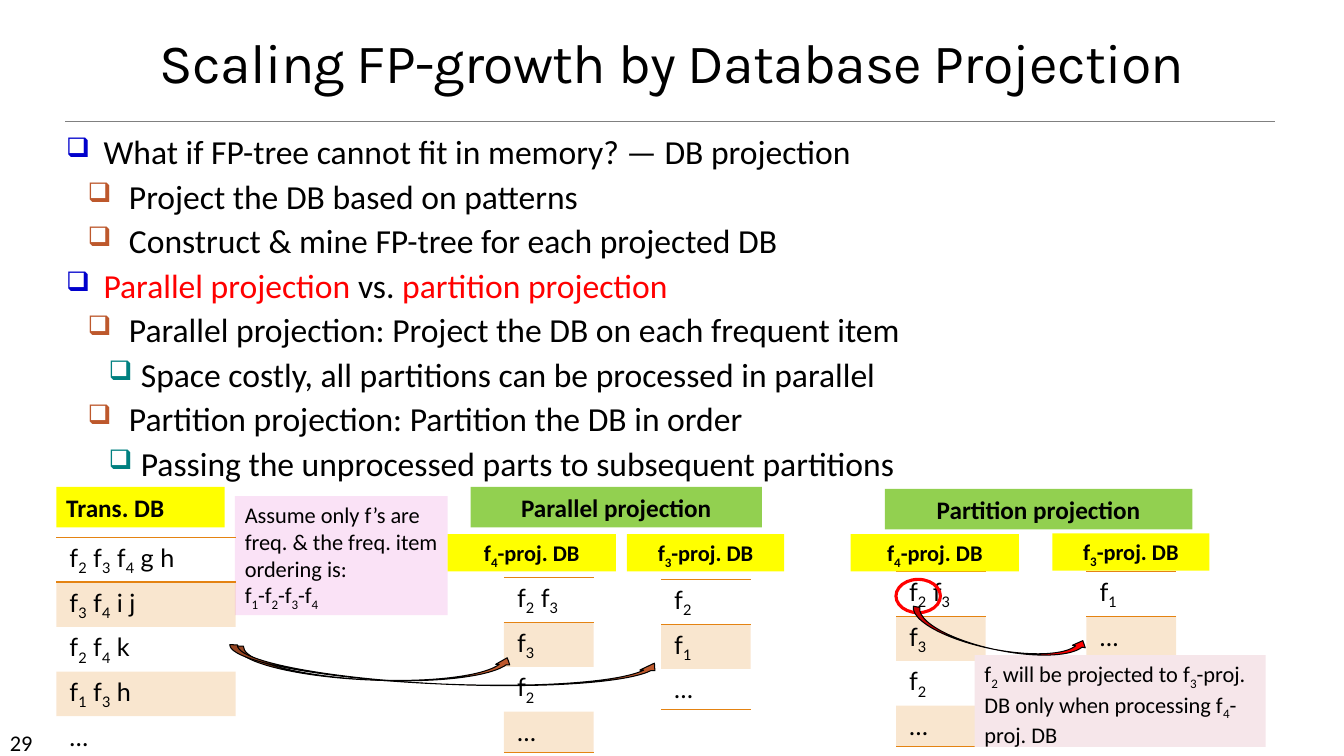
from dataclasses import dataclass
from lxml.etree import SubElement
from pptx import Presentation
from pptx.dml.color import RGBColor
from pptx.enum.shapes import MSO_CONNECTOR, MSO_SHAPE
from pptx.enum.text import MSO_ANCHOR, MSO_AUTO_SIZE, PP_ALIGN
from pptx.oxml import parse_xml
from pptx.oxml.ns import nsdecls, qn
from pptx.util import Cm, Pt


@dataclass(frozen=True)
class Theme:
    """Colours, fonts and type sizes of the slide."""
    black: str = "000000"
    red: str = "FF0000"
    rule: str = "808080"
    yellow: str = "FFFF00"
    green: str = "92D050"
    orange: str = "E48312"
    brown: str = "BD582C"
    lilac: str = "FAE2F6"
    rose: str = "F6E6EA"
    bullets: tuple = ("0000CC", "BD582C", "008080")
    heading_font: str = "Karla"
    body_font: str = "Calibri"
    table_font: str = "Lato"
    title_size: float = 39.6
    body_size: float = 24
    header_size: float = 18
    label_size: float = 16


@dataclass(frozen=True)
class Box:
    """A rectangle in centimetres."""
    left: float
    top: float
    width: float
    height: float

    def inner(self, left, top, width, height):
        """Return a box placed relative to this one."""
        return Box(self.left + left, self.top + top, width, height)

    def lengths(self):
        """Return the position and size as lengths."""
        return Cm(self.left), Cm(self.top), Cm(self.width), Cm(self.height)


@dataclass(frozen=True)
class ProjectedDatabase:
    """A projected database, placed from the corner of its region."""
    label: str
    rows: tuple
    label_box: tuple
    table_left: float
    table_top: float


THEME = Theme()
INDENTS = ((0.94, 0.94), (1.58, 1.04), (1.88, 0.81))
OUTLINE = (
    (0, (("What if FP-tree cannot fit in memory? — DB projection", THEME.black),)),
    (1, (("Project the DB based on patterns", THEME.black),)),
    (1, (("Construct & mine FP-tree for each projected DB", THEME.black),)),
    (0, (("Parallel projection ", THEME.red), ("vs. ", THEME.black),
         ("partition projection", THEME.red))),
    (1, (("Parallel projection: Project the DB on each frequent item", THEME.black),)),
    (2, (("Space costly, all partitions can be processed in parallel", THEME.black),)),
    (1, (("Partition projection: Partition the DB in order", THEME.black),)),
    (2, (("Passing the unprocessed parts to subsequent partitions", THEME.black),)),
)
TRANSACTIONS = ("f_2 f_3 f_4 g h", "f_3 f_4 i j", "f_2 f_4 k", "f_1 f_3 h", "…")
F4_ROWS = ("f_2 f_3", "f_3", "f_2", "…")
PARALLEL = (
    ProjectedDatabase("f_4-proj. DB", F4_ROWS, (0, 1.19, 4.24, 0.94), 1.42, 2.28),
    ProjectedDatabase("f_3-proj. DB", ("f_2", "f_1", "…"), (4.52, 1.19, 3.96, 0.94), 5.38, 2.33),
)
PARTITION = (
    ProjectedDatabase("f_4-proj. DB", F4_ROWS, (0, 1.14, 4.24, 0.94), 1.14, 2.08),
    ProjectedDatabase("f_3-proj. DB", ("f_1", "…"), (5.08, 1.12, 3.96, 0.94), 5.94, 2.08),
)


def add_run(paragraph, text, size, font=THEME.body_font, color=THEME.black, bold=False):
    """Add one formatted run and return it."""
    run = paragraph.add_run()
    run.text = text
    run.font.size, run.font.name, run.font.bold = Pt(size), font, bold
    run.font.color.rgb = RGBColor.from_string(color)
    return run


def add_indexed_text(paragraph, text, size, **style):
    """Add runs, lowering each character that follows an underscore."""
    first, *parts = text.split("_")
    if first:
        add_run(paragraph, first, size, **style)
    for part in parts:
        index = add_run(paragraph, part[0], size, **style)
        index._r.get_or_add_rPr().set("baseline", "-25000")
        if part[1:]:
            add_run(paragraph, part[1:], size, **style)


def add_panel(slide, box, lines, fill, size, align=PP_ALIGN.LEFT, bold=False):
    """Add a filled rectangle with text."""
    shape = slide.shapes.add_shape(MSO_SHAPE.RECTANGLE, *box.lengths())
    shape.shadow.inherit = False
    shape.fill.solid()
    shape.fill.fore_color.rgb = RGBColor.from_string(fill)
    shape.line.fill.background()
    frame = shape.text_frame
    frame.word_wrap = True
    frame.auto_size = MSO_AUTO_SIZE.SHAPE_TO_FIT_TEXT
    frame.vertical_anchor = MSO_ANCHOR.TOP
    for number, line in enumerate(lines):
        paragraph = frame.add_paragraph() if number else frame.paragraphs[0]
        paragraph.alignment = align
        add_indexed_text(paragraph, line, size, bold=bold)


def add_borders(cell, visible):
    """Draw the named cell sides and clear the others."""
    properties = cell._tc.get_or_add_tcPr()
    for position, side in enumerate(("lnL", "lnR", "lnT", "lnB")):
        paint = (f'<a:solidFill><a:srgbClr val="{THEME.orange}"/></a:solidFill>'
                 if side in visible else "<a:noFill/>")
        line = parse_xml(f'<a:{side} {nsdecls("a")} w="{Pt(1)}">{paint}</a:{side}>')
        properties.insert(position, line)


def add_database(slide, box, rows):
    """Add a one-column table with every second row tinted."""
    table = slide.shapes.add_table(len(rows), 1, *box.lengths()).table
    table.first_row = table.horz_banding = False
    for number, text in enumerate(rows):
        cell = table.cell(number, 0)
        cell.margin_left = cell.margin_right = Cm(0.33)
        cell.margin_top = cell.margin_bottom = Cm(0.13)
        add_indexed_text(cell.text_frame.paragraphs[0], text, THEME.header_size,
                         font=THEME.table_font)
        if number % 2:
            cell.fill.solid()
            cell.fill.fore_color.rgb = RGBColor.from_string(THEME.orange)
            for color in cell._tc.tcPr.iter(qn("a:srgbClr")):
                SubElement(color, qn("a:alpha"), val="20000")
        else:
            cell.fill.background()
        sides = {"lnT"} if number < 2 else set()
        if number in (0, len(rows) - 1):
            sides.add("lnB")
        add_borders(cell, sides)


def add_title(slide, box):
    """Place the title and the rule below it."""
    title = slide.shapes.title
    title.left, title.top, title.width, title.height = box.lengths()
    frame = title.text_frame
    frame.auto_size = MSO_AUTO_SIZE.NONE
    frame.vertical_anchor = MSO_ANCHOR.MIDDLE
    paragraph = frame.paragraphs[0]
    paragraph.alignment, paragraph.line_spacing = PP_ALIGN.CENTER, 0.85
    run = add_run(paragraph, "Scaling FP-growth by Database Projection",
                  THEME.title_size, THEME.heading_font)
    run._r.get_or_add_rPr().set("spc", "-50")
    level = Cm(box.top + 2.21)
    rule = slide.shapes.add_connector(MSO_CONNECTOR.STRAIGHT, Cm(box.left + 1.65), level,
                                      Cm(box.left + box.width - 1.74), level)
    rule.line.color.rgb = RGBColor.from_string(THEME.rule)
    rule.line.width = Pt(0.5)
    SubElement(rule._element.spPr, qn("a:effectLst"))


def add_outline(slide, box):
    """Add the bulleted outline."""
    frame = slide.shapes.add_textbox(*box.lengths()).text_frame
    frame.word_wrap = True
    for number, (level, runs) in enumerate(OUTLINE):
        paragraph = frame.add_paragraph() if number else frame.paragraphs[0]
        paragraph.level, paragraph.space_before = level, Pt(3)
        properties = paragraph._p.get_or_add_pPr()
        margin, hanging = INDENTS[level]
        properties.set("marL", str(Cm(margin)))
        properties.set("indent", str(-Cm(hanging)))
        color = SubElement(properties, qn("a:buClr"))
        SubElement(color, qn("a:srgbClr"), val=THEME.bullets[level])
        SubElement(properties, qn("a:buSzPct"), val="80000")
        SubElement(properties, qn("a:buChar"), char="❑")
        for text, ink in runs:
            add_run(paragraph, text, THEME.body_size, color=ink)


def add_transactions(slide, box):
    """Add the transaction database and the ordering assumption."""
    assumption = ("Assume only f’s are freq. & the freq. item ordering is:", "f_1-f_2-f_3-f_4")
    add_panel(slide, box.inner(4.5, 0.23, 5.36, 3), assumption, THEME.lilac, THEME.label_size)
    add_database(slide, box.inner(0, 1.27, 4.52, 5.08), TRANSACTIONS)
    add_panel(slide, box.inner(0, 0, 4.24, 1.02), ("Trans. DB",), THEME.yellow,
              THEME.header_size, bold=True)


def add_projection(slide, box, heading, heading_box, databases):
    """Add a heading with its projected databases below."""
    add_panel(slide, box.inner(*heading_box), (heading,), THEME.green, THEME.header_size,
              PP_ALIGN.CENTER, True)
    for database in databases:
        rows = database.rows
        table_box = box.inner(database.table_left, database.table_top, 2.26, 1.02 * len(rows))
        add_database(slide, table_box, rows)
        add_panel(slide, box.inner(*database.label_box), (database.label,), THEME.yellow,
                  THEME.label_size, PP_ALIGN.CENTER, True)


def add_curved_arrow(slide, box, color, rotation):
    """Add a curved arrow between databases."""
    arrow = slide.shapes.add_shape(MSO_SHAPE.CURVED_UP_ARROW, *box.lengths())
    arrow.shadow.inherit = False
    arrow.rotation = rotation
    arrow.fill.solid()
    arrow.fill.fore_color.rgb = RGBColor.from_string(color)
    arrow.line.color.rgb = RGBColor.from_string(THEME.black)
    arrow.line.width = Pt(0.75)


def add_partition_note(slide, box):
    """Circle the passed item and explain where it goes."""
    circle = slide.shapes.add_shape(MSO_SHAPE.OVAL, *box.inner(1.14, 2.28, 1.12, 0.84).lengths())
    circle.shadow.inherit = False
    circle.fill.background()
    circle.line.color.rgb = RGBColor.from_string(THEME.red)
    circle.line.width = Pt(2.25)
    note = "f_2 will be projected to f_3-proj. DB only when processing f_4-proj. DB"
    add_panel(slide, box.inner(3.12, 4.19, 7.34, 2.31), (note,), THEME.rose, THEME.label_size)
    add_curved_arrow(slide, box.inner(1.47, 3.4, 4.52, 0.66), THEME.red, 11.5)


def add_page_number(slide, box):
    """Add the page number."""
    frame = slide.shapes.add_textbox(*box.lengths()).text_frame
    frame.word_wrap = True
    add_run(frame.paragraphs[0], "29", THEME.label_size)


def main():
    """Build and save the slide."""
    presentation = Presentation()
    presentation.slide_width, presentation.slide_height = Cm(33.87), Cm(19.05)
    slide = presentation.slides.add_slide(presentation.slide_layouts[5])
    parallel_box, partition_box = Box(11.28, 12.27, 8.48, 6.4), Box(21.44, 12.32, 9.04, 6.5)
    add_title(slide, Box(0, 0.84, 33.87, 1.68))
    add_page_number(slide, Box(0, 18.24, 2.97, 0.76))
    add_outline(slide, Box(1.42, 3.18, 31.9, 9.09))
    add_transactions(slide, Box(1.42, 12.27, 9.86, 6.35))
    add_projection(slide, parallel_box, "Parallel projection", (0.58, 0, 7.34, 1.02), PARALLEL)
    add_projection(slide, partition_box, "Partition projection", (0.86, 0, 7.75, 1.02), PARTITION)
    add_partition_note(slide, partition_box)
    add_curved_arrow(slide, Box(5.94, 16.43, 7.01, 0.71), THEME.brown, 2.5)
    add_curved_arrow(slide, Box(5.77, 16.48, 10.9, 0.76), THEME.brown, 2.5)
    presentation.save("out.pptx")


if __name__ == "__main__":
    main()
